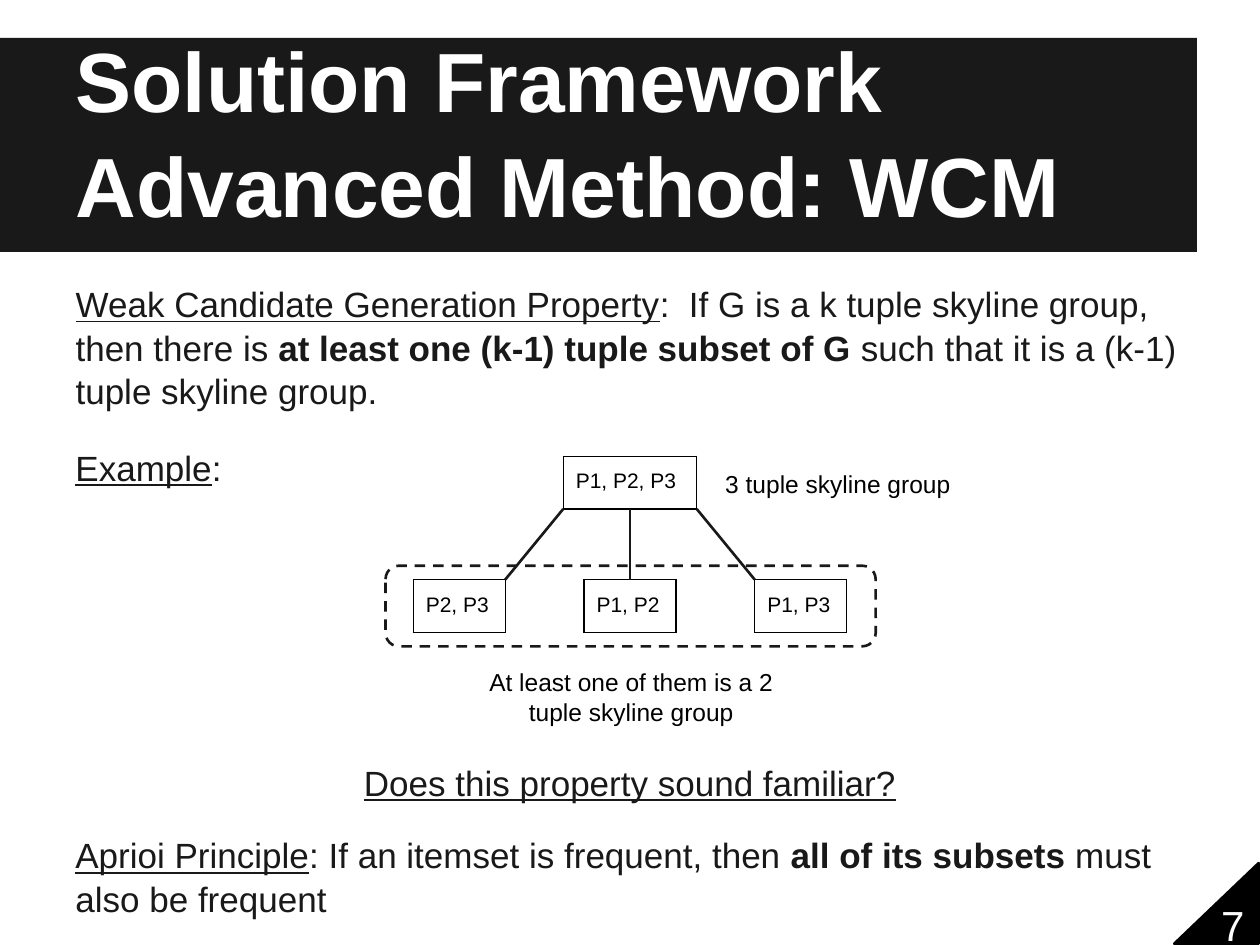
from lxml import etree
from pptx import Presentation
from pptx.dml.color import RGBColor
from pptx.enum.dml import MSO_LINE
from pptx.enum.shapes import MSO_CONNECTOR, MSO_SHAPE
from pptx.enum.text import MSO_ANCHOR, MSO_AUTO_SIZE, PP_ALIGN
from pptx.oxml import parse_xml
from pptx.oxml.ns import nsdecls, qn
from pptx.util import Inches, Pt

INK = RGBColor(0x19, 0x19, 0x19)
BLACK = RGBColor(0, 0, 0)
WHITE = RGBColor(0xFF, 0xFF, 0xFF)
COLUMNS, ROWS = 100, 75


class Page:
    """Style and current slide; lengths are columns and rows of the grid."""

    font = "Arial"
    inset = Inches(0.1)
    leading = 1.04

    def __init__(self, deck):
        self.slide = deck.slides.add_slide(deck.slide_layouts[1])
        self.shapes = self.slide.shapes
        self.column = deck.slide_width / COLUMNS
        self.row = deck.slide_height / ROWS

    def area(self, left, top, width, height):
        return (round(left * self.column), round(top * self.row),
                round(width * self.column), round(height * self.row))

    def style(self, para, size, color, align=PP_ALIGN.LEFT):
        para.alignment = align
        para.line_spacing = self.leading
        para.space_before = Pt(0)
        for span in para.runs:
            span.font.name = self.font
            span.font.size = Pt(size)
            span.font.color.rgb = color

    def fill_text(self, box, spans, size, color, align, anchor):
        """Fill a box with one paragraph of (text, mark) spans; mark is '', 'b' or 'u'."""
        frame = box.text_frame
        frame.word_wrap = True
        frame.auto_size = MSO_AUTO_SIZE.NONE
        frame.vertical_anchor = anchor
        frame.margin_left = frame.margin_right = self.inset
        frame.margin_top = frame.margin_bottom = self.inset
        para = frame.paragraphs[0]
        for text, mark in spans:
            span = para.add_run()
            span.text = text
            span.font.bold = mark == "b"
            span.font.underline = mark == "u"
        self.style(para, size, color, align)

    def text(self, area, spans, size=20, color=INK, align=PP_ALIGN.LEFT):
        box = self.shapes.add_textbox(*self.area(*area))
        self.fill_text(box, spans, size, color, align, MSO_ANCHOR.MIDDLE)

    def title(self, area, text):
        box = self.shapes.title
        box.left, box.top, box.width, box.height = self.area(*area)
        self.fill_text(box, [], 48, WHITE, PP_ALIGN.LEFT, MSO_ANCHOR.BOTTOM)
        box.text_frame.text = text
        for para in box.text_frame.paragraphs:
            self.style(para, 48, WHITE)
            for span in para.runs:
                span.font.bold = True

    def body(self, area, spans):
        box = self.slide.placeholders[1]
        box.left, box.top, box.width, box.height = self.area(*area)
        settings = box.text_frame.paragraphs[0]._p.get_or_add_pPr()
        settings.set("marL", "0")
        settings.set("indent", "0")
        etree.SubElement(settings, qn("a:buNone"))
        self.fill_text(box, spans, 20, INK, PP_ALIGN.LEFT, MSO_ANCHOR.TOP)

    def shape(self, kind, area, fill=None, line=None, behind=False):
        shape = self.shapes.add_shape(kind, *self.area(*area))
        shape.shadow.inherit = False
        if fill is None:
            shape.fill.background()
        else:
            shape.fill.solid()
            shape.fill.fore_color.rgb = fill
        if line is None:
            shape.line.fill.background()
        else:
            shape.line.color.rgb = line
            shape.line.width = Pt(1.5)
        if behind:
            self.shapes.title.element.addprevious(shape.element)
        return shape

    def group_table(self, area, text):
        frame = self.shapes.add_table(1, 1, *self.area(*area))
        frame.table.first_row = frame.table.horz_banding = False
        cell = frame.table.cell(0, 0)
        cell.text = text
        cell.margin_left = cell.margin_right = self.inset
        cell.margin_top = cell.margin_bottom = self.inset
        self.style(cell.text_frame.paragraphs[0], 12, BLACK)
        settings = cell._tc.get_or_add_tcPr()
        for side in ("lnL", "lnR", "lnT", "lnB"):
            settings.append(parse_xml(
                f'<a:{side} {nsdecls("a")} w="{Pt(0.75)}"><a:solidFill>'
                f'<a:srgbClr val="{BLACK}"/></a:solidFill></a:{side}>'))
        cell.fill.solid()
        cell.fill.fore_color.rgb = WHITE
        return frame

    def line(self, start, end):
        link = self.shapes.add_connector(
            MSO_CONNECTOR.STRAIGHT, *self.area(*start, *end))
        link.line.color.rgb = INK
        link.line.width = Pt(1.5)
        etree.SubElement(link._element.spPr, qn("a:effectLst"))
        return link


def main():
    deck = Presentation()
    deck.slide_width, deck.slide_height = Inches(10), Inches(7.5)
    page = Page(deck)

    # Title band and definition
    page.shape(MSO_SHAPE.RECTANGLE, (0, 3, 95, 17), fill=INK, behind=True)
    page.title((5, 3, 90, 16.6), "Solution Framework\nAdvanced Method: WCM")
    page.body((5, 21.3, 90, 10.3), [
        ("Weak Candidate Generation Property", "u"),
        (":  If G is a k tuple skyline group, then there is ", ""),
        ("at least one (k-1) tuple subset of G", "b"),
        (" such that it is a (k-1) tuple skyline group.", "")])

    # Example tree: one group above its three subsets
    dashed = page.shape(MSO_SHAPE.ROUNDED_RECTANGLE, (30.6, 44.9, 38.9, 6.4),
                        line=INK, behind=True)
    dashed.line.dash_style = MSO_LINE.DASH
    center, height = 50, 4.2
    group_width, group_top = 10.6, 36.2
    subset_width, subset_top, subset_step = 7.3, 46, 13.55
    group = page.group_table(
        (center - group_width / 2, group_top, group_width, height), "P1, P2, P3")
    group_bottom = group_top + height
    for side, name in zip((-1, 0, 1), ("P2, P3", "P1, P2", "P1, P3")):
        middle = center + side * subset_step
        subset = page.group_table(
            (middle - subset_width / 2, subset_top, subset_width, height), name)
        link = page.line((center + side * group_width / 2, group_bottom),
                         (middle - side * subset_width / 2, subset_top))
        if side == 0:
            link.begin_connect(group, 2)
            link.end_connect(subset, 0)

    # Labels of the tree
    page.text((56.4, 36.8, 20.2, 3.1), [("3 tuple skyline group", "")],
              14, BLACK, PP_ALIGN.CENTER)
    page.text((36.5, 52.8, 27.2, 4.9),
              [("At least one of them is a 2 tuple skyline group", "")],
              14, BLACK, PP_ALIGN.CENTER)

    # Running text
    page.text((5, 32.9, 15.8, 8.2), [("Example", "u"), (":", "")])
    page.text((5, 57.9, 90, 8.2), [("Does this property sound familiar?", "u")],
              align=PP_ALIGN.CENTER)
    page.text((5, 65.4, 90, 8.2), [
        ("Aprioi Principle", "u"), (": If an itemset is frequent, then ", ""),
        ("all of its subsets", "b"), (" must also be frequent", "")])

    # Page number corner
    corner = page.shape(MSO_SHAPE.RIGHT_TRIANGLE, (93.2, 68.5, 6.7, 6.4), BLACK, BLACK)
    corner.element.spPr.xfrm.set("flipH", "1")
    page.text((94.5, 70.9, 6.7, 4.8), [("7", "")], 24, WHITE, PP_ALIGN.CENTER)

    deck.save("out.pptx")


if __name__ == "__main__":
    main()
